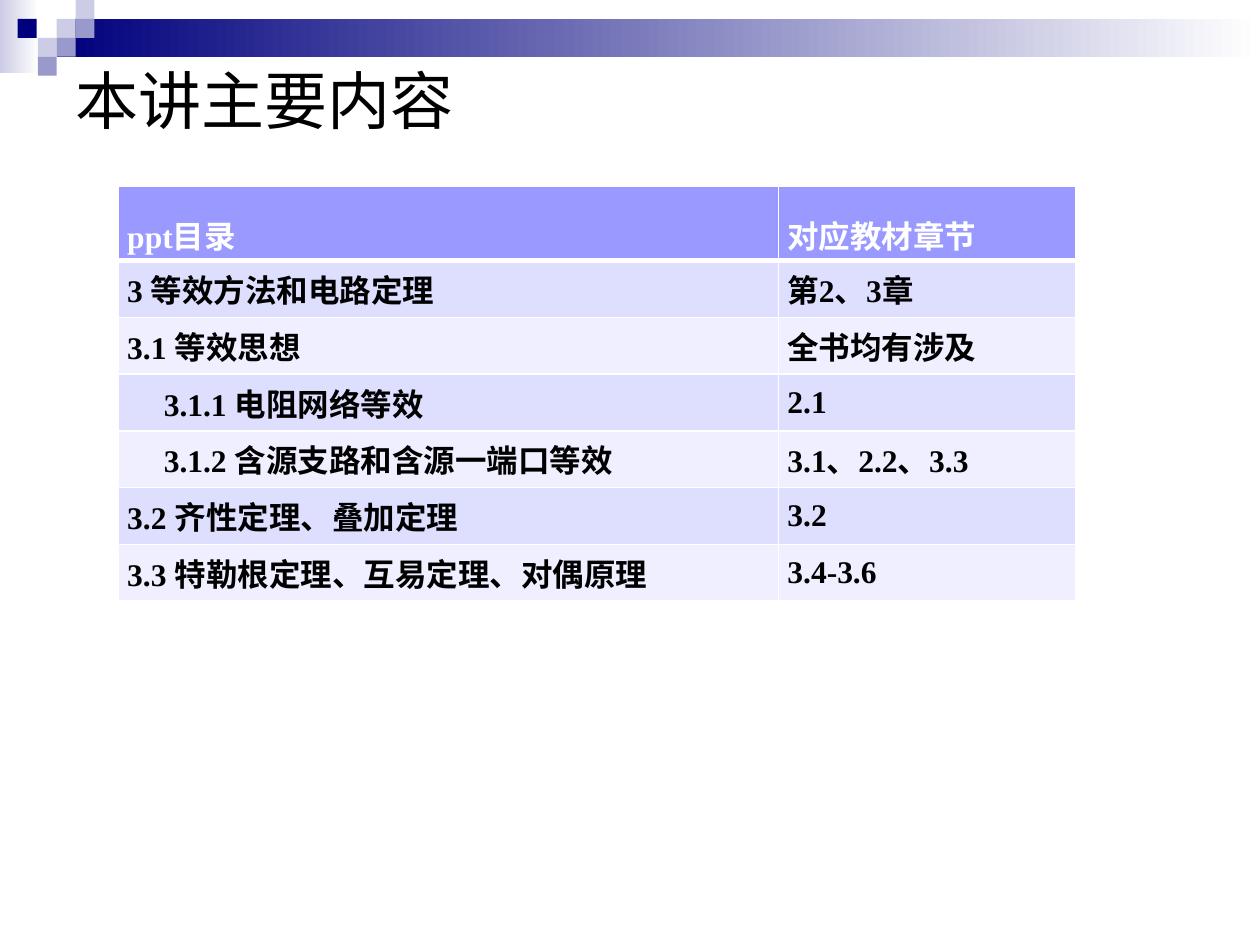
from lxml import etree
from pptx import Presentation
from pptx.dml.color import RGBColor
from pptx.enum import shapes, text
from pptx.oxml.ns import qn
from pptx.util import Inches, Pt

LATIN, CJK = "Times New Roman", "Noto Sans CJK SC"
NAVY, LILAC, VIOLET, WHITE, BLACK = "00007D", "CCCCE6", "9999CC", "FFFFFF", "000000"
HEADER_FILL, BANDS = "9999FF", ("DEDEFF", "EFEFFF")
UNIT = 0.15  # side of the small decorative squares

SQUARES = [
    (0.45, 0.15, LILAC), (0.6, 0, LILAC), (0.6, 0.15, VIOLET),
    (0.3, 0.3, LILAC), (0.14, 0.15, NAVY), (0.45, 0.3, VIOLET),
    (0.3, 0.45, VIOLET),
]
COLUMN_WIDTHS = (5.24, 2.36)
HEADER_HEIGHT, ROW_HEIGHT = 0.59, 0.45
# Each row: indent of the first cell, then the two texts
ROWS = [
    (0, "ppt目录", "对应教材章节"),
    (0, "3 等效方法和电路定理", "第2、3章"),
    (0, "3.1 等效思想", "全书均有涉及"),
    (0.29, "3.1.1 电阻网络等效", "2.1"),
    (0.29, "3.1.2 含源支路和含源一端口等效", "3.1、2.2、3.3"),
    (0, "3.2 齐性定理、叠加定理", "3.2"),
    (0, "3.3 特勒根定理、互易定理、对偶原理", "3.4-3.6"),
]


def rgb(value):
    return RGBColor.from_string(value)


def add_span(para, words, size, color, latin, bold=False):
    span = para.add_run()
    span.text = words
    font = span.font
    font.size, font.bold, font.name = Pt(size), bold, latin
    font.color.rgb = rgb(color)
    east_asian = etree.SubElement(span._r.get_or_add_rPr(), qn("a:ea"))
    east_asian.set("typeface", CJK)


def add_block(page, left, top, width, height, start, end=None):
    """Plain rectangle, or a left-to-right gradient when end is given."""
    block = page.shapes.add_shape(
        shapes.MSO_SHAPE.RECTANGLE,
        Inches(left), Inches(top), Inches(width), Inches(height))
    block.shadow.inherit = False
    block.line.fill.background()
    if end is None:
        block.fill.solid()
        block.fill.fore_color.rgb = rgb(start)
        return
    block.fill.gradient()
    block.fill.gradient_angle = 0
    for stop, color, position in zip(block.fill.gradient_stops, (start, end), (0, 1)):
        stop.color.rgb = rgb(color)
        stop.position = position


def add_title(page, words):
    title = page.shapes.title
    title.left, title.top = Inches(0.5), Inches(0.5)
    title.width, title.height = Inches(9), Inches(0.58)
    frame = title.text_frame
    frame.vertical_anchor = text.MSO_ANCHOR.MIDDLE
    frame.auto_size = text.MSO_AUTO_SIZE.NONE
    para = frame.paragraphs[0]
    para.alignment = text.PP_ALIGN.LEFT
    add_span(para, words, 36, BLACK, CJK)


def set_borders(cell, top, bottom):
    properties = cell._tc.get_or_add_tcPr()
    for side, width in (("L", 1), ("R", 1), ("T", top), ("B", bottom)):
        line = etree.SubElement(properties, qn(f"a:ln{side}"), w=str(Pt(width)))
        fill = etree.SubElement(line, qn("a:solidFill"))
        etree.SubElement(fill, qn("a:srgbClr"), val=WHITE)


def fill_cell(cell, words, row, indent):
    is_header = row == 0
    cell.margin_left = cell.margin_right = Inches(0.07)
    cell.margin_top = cell.margin_bottom = 0
    cell.vertical_anchor = text.MSO_ANCHOR.MIDDLE
    # The rule under the header is thicker than the others
    set_borders(cell, top=3 if row == 1 else 1, bottom=3 if is_header else 1)
    cell.fill.solid()
    cell.fill.fore_color.rgb = rgb(HEADER_FILL if is_header else BANDS[(row - 1) % 2])
    para = cell.text_frame.paragraphs[0]
    para.alignment = text.PP_ALIGN.JUSTIFY
    if is_header:
        para.line_spacing = 1.5
    if indent:
        para._p.get_or_add_pPr().set("indent", str(Inches(indent)))
    add_span(para, words, 18, WHITE if is_header else BLACK, LATIN, bold=True)


def add_contents_table(page):
    height = HEADER_HEIGHT + ROW_HEIGHT * (len(ROWS) - 1)
    table = page.shapes.add_table(
        len(ROWS), len(COLUMN_WIDTHS), Inches(0.94), Inches(1.48),
        Inches(sum(COLUMN_WIDTHS)), Inches(height)).table
    for column, width in zip(table.columns, COLUMN_WIDTHS):
        column.width = Inches(width)
    for row, (indent, topic, chapter) in enumerate(ROWS):
        table.rows[row].height = Inches(ROW_HEIGHT if row else HEADER_HEIGHT)
        fill_cell(table.cell(row, 0), topic, row, indent)
        fill_cell(table.cell(row, 1), chapter, row, 0)


def main():
    deck = Presentation()
    deck.slide_width, deck.slide_height = Inches(10), Inches(7.5)
    page = deck.slides.add_slide(deck.slide_layouts[5])  # title only

    # Banner with its squares
    add_block(page, 0, 0, 0.31, 0.58, LILAC, WHITE)
    add_block(page, 0.45, 0.15, 9.55, 0.3, NAVY, WHITE)
    for left, top, color in SQUARES:
        add_block(page, left, top, UNIT, UNIT, color)

    # Heading and table of contents
    add_title(page, "本讲主要内容")
    add_contents_table(page)
    deck.save("out.pptx")


if __name__ == "__main__":
    main()
